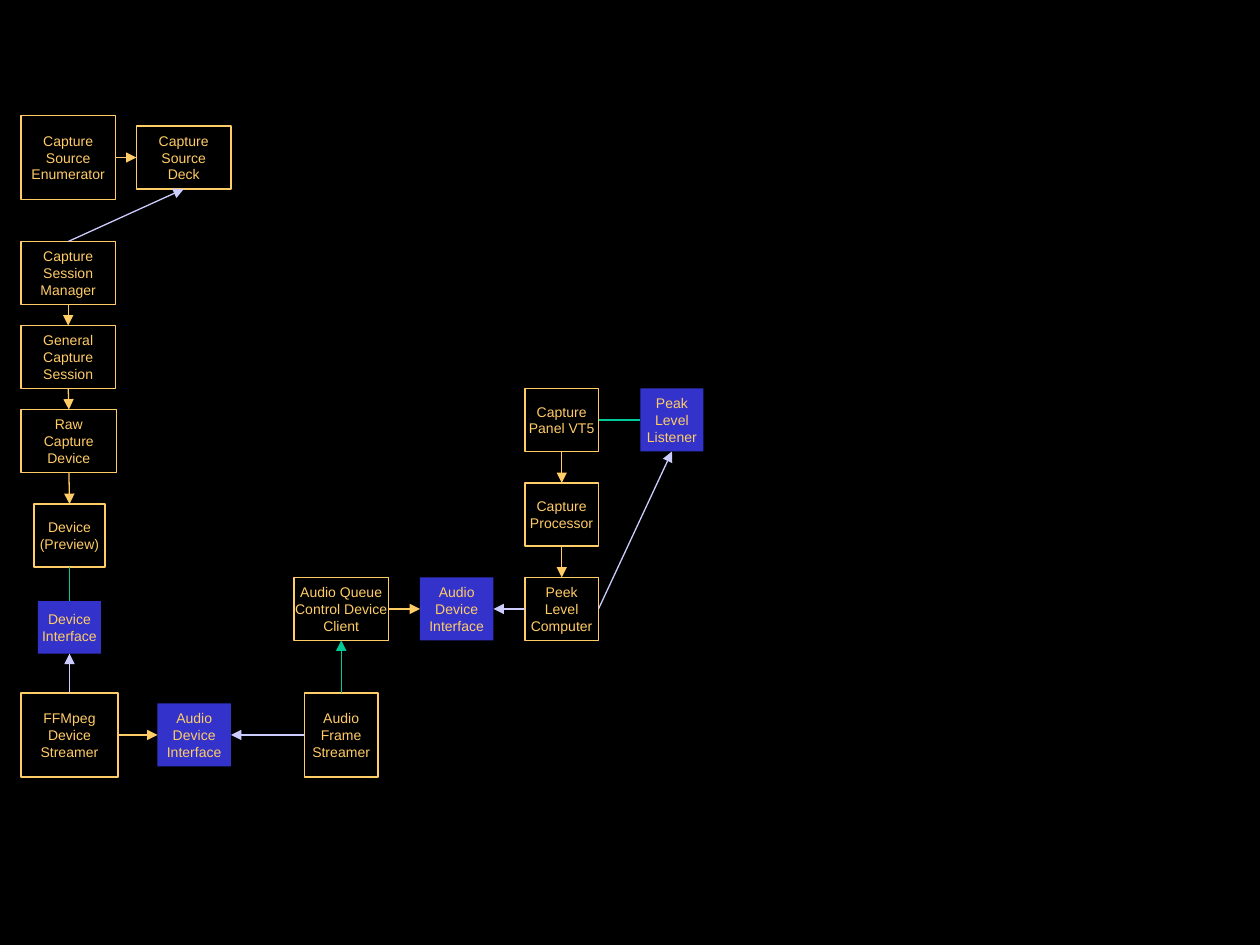
import dataclasses

import lxml.etree
import pptx
import pptx.dml.color
import pptx.enum.shapes
import pptx.enum.text
import pptx.oxml.ns
import pptx.util

PX = 9525
TOP, LEFT, BOTTOM, RIGHT = range(4)


@dataclasses.dataclass(frozen=True)
class Theme:
    """Hold the colours, type and line weight of the diagram."""
    background: str = "000000"
    owner: str = "FFCC66"
    interface: str = "3333CC"
    caller: str = "CCCCFF"
    implementer: str = "00CC99"
    font: str = "Arial"
    size: int = 8
    line: float = 0.75


THEME = Theme()


def color(value):
    """Return a colour object for a hex value."""
    return pptx.dml.color.RGBColor.from_string(value)


def write_text(shape, text, *, size=THEME.size, font=THEME.font, ink=THEME.owner):
    """Write centred lines of text, one paragraph for each line."""
    frame = shape.text_frame
    frame.text = text
    frame.word_wrap = False
    frame.vertical_anchor = pptx.enum.text.MSO_ANCHOR.MIDDLE
    for paragraph in frame.paragraphs:
        paragraph.alignment = pptx.enum.text.PP_ALIGN.CENTER
        paragraph.font.size = pptx.util.Pt(size)
        paragraph.font.name = font
        paragraph.font.color.rgb = color(ink)


def add_box(slide, origin, text, left, top, width=56, height=48, fill=None):
    """Add a box at an offset from the region's origin, outlined unless filled."""
    shape = slide.shapes.add_shape(
        pptx.enum.shapes.MSO_SHAPE.RECTANGLE,
        (origin[0] + left) * PX, (origin[1] + top) * PX, width * PX, height * PX)
    shape.shadow.inherit = False
    if fill:
        shape.fill.solid()
        shape.fill.fore_color.rgb = color(fill)
        shape.line.fill.background()
    else:
        shape.fill.background()
        shape.line.color.rgb = color(THEME.owner)
        shape.line.width = pptx.util.Pt(THEME.line)
    write_text(shape, text)
    return shape


def connect(slide, start, start_side, end, end_side, ink=THEME.owner, arrow=True):
    """Join the sides of two boxes with a straight connector."""
    connector = slide.shapes.add_connector(
        pptx.enum.shapes.MSO_CONNECTOR.STRAIGHT, 0, 0, 0, 0)
    connector.begin_connect(start, start_side)
    connector.end_connect(end, end_side)
    connector.line.color.rgb = color(ink)
    connector.line.width = pptx.util.Pt(THEME.line)
    if arrow:
        lxml.etree.SubElement(connector.line._get_or_add_ln(),
                              pptx.oxml.ns.qn("a:tailEnd"), type="triangle")
    lxml.etree.SubElement(connector._element.spPr, pptx.oxml.ns.qn("a:effectLst"))


def add_session_region(slide, origin):
    """Draw the capture sources and the chain of session objects."""
    enumerator = add_box(slide, origin, "Capture\nSource\nEnumerator", 0, 0, 72, 64)
    deck = add_box(slide, origin, "Capture\nSource\nDeck", 88, 8, 72)
    manager = add_box(slide, origin, "Capture\nSession\nManager", 0, 96, 72)
    session = add_box(slide, origin, "General\nCapture\nSession", 0, 160, 72)
    raw_device = add_box(slide, origin, "Raw\nCapture\nDevice", 0, 224, 73)
    preview = add_box(slide, origin, "Device\n(Preview)", 10, 296, 54)
    interface = add_box(slide, origin, "Device\nInterface", 13, 370, 48, 40,
                        fill=THEME.interface)
    connect(slide, enumerator, RIGHT, deck, LEFT)
    connect(slide, manager, TOP, deck, BOTTOM, THEME.caller)
    chain = [manager, session, raw_device, preview]
    for upper, lower in zip(chain, chain[1:]):
        connect(slide, upper, BOTTOM, lower, TOP)
    connect(slide, interface, TOP, preview, BOTTOM, THEME.implementer, arrow=False)
    return interface


def add_streamer_region(slide, origin):
    """Draw the streamers on either side of their audio interface."""
    device = add_box(slide, origin, "FFMpeg\nDevice\nStreamer", 0, 0, 74, 64)
    interface = add_box(slide, origin, "Audio\nDevice\nInterface", 104, 8,
                        fill=THEME.interface)
    frame = add_box(slide, origin, "Audio\nFrame\nStreamer", 216, 0, height=64)
    connect(slide, device, RIGHT, interface, LEFT)
    connect(slide, frame, LEFT, interface, RIGHT, THEME.caller)
    return device, frame


def add_level_region(slide, origin):
    """Draw the audio client, the level computer and the capture panel."""
    client = add_box(slide, origin, "Audio Queue\nControl Device\nClient", 0, 144, 72)
    interface = add_box(slide, origin, "Audio\nDevice\nInterface", 96, 144,
                        fill=THEME.interface)
    names = ["Capture\nPanel VT5", "Capture\nProcessor", "Peek\nLevel\nComputer"]
    panel, processor, computer = [
        add_box(slide, origin, name, 176, 72 * row) for row, name in enumerate(names)]
    listener = add_box(slide, origin, "Peak\nLevel\nListener", 264, 0, 48,
                       fill=THEME.interface)
    connect(slide, client, RIGHT, interface, LEFT)
    connect(slide, computer, LEFT, interface, RIGHT, THEME.caller)
    connect(slide, panel, BOTTOM, processor, TOP)
    connect(slide, processor, BOTTOM, computer, TOP)
    connect(slide, panel, RIGHT, listener, LEFT, THEME.implementer, arrow=False)
    connect(slide, computer, RIGHT, listener, BOTTOM, THEME.caller)
    return client


def main():
    """Build the slide and save it."""
    presentation = pptx.Presentation()
    presentation.slide_width = 960 * PX
    presentation.slide_height = 720 * PX
    slide = presentation.slides.add_slide(presentation.slide_layouts[6])
    slide.background.fill.solid()
    slide.background.fill.fore_color.rgb = color(THEME.background)
    device_interface = add_session_region(slide, (16, 88))
    device_streamer, frame_streamer = add_streamer_region(slide, (16, 528))
    queue_client = add_level_region(slide, (224, 296))
    connect(slide, device_streamer, TOP, device_interface, BOTTOM, THEME.caller)
    connect(slide, frame_streamer, TOP, queue_client, BOTTOM, THEME.implementer)
    presentation.save("out.pptx")


if __name__ == "__main__":
    main()
